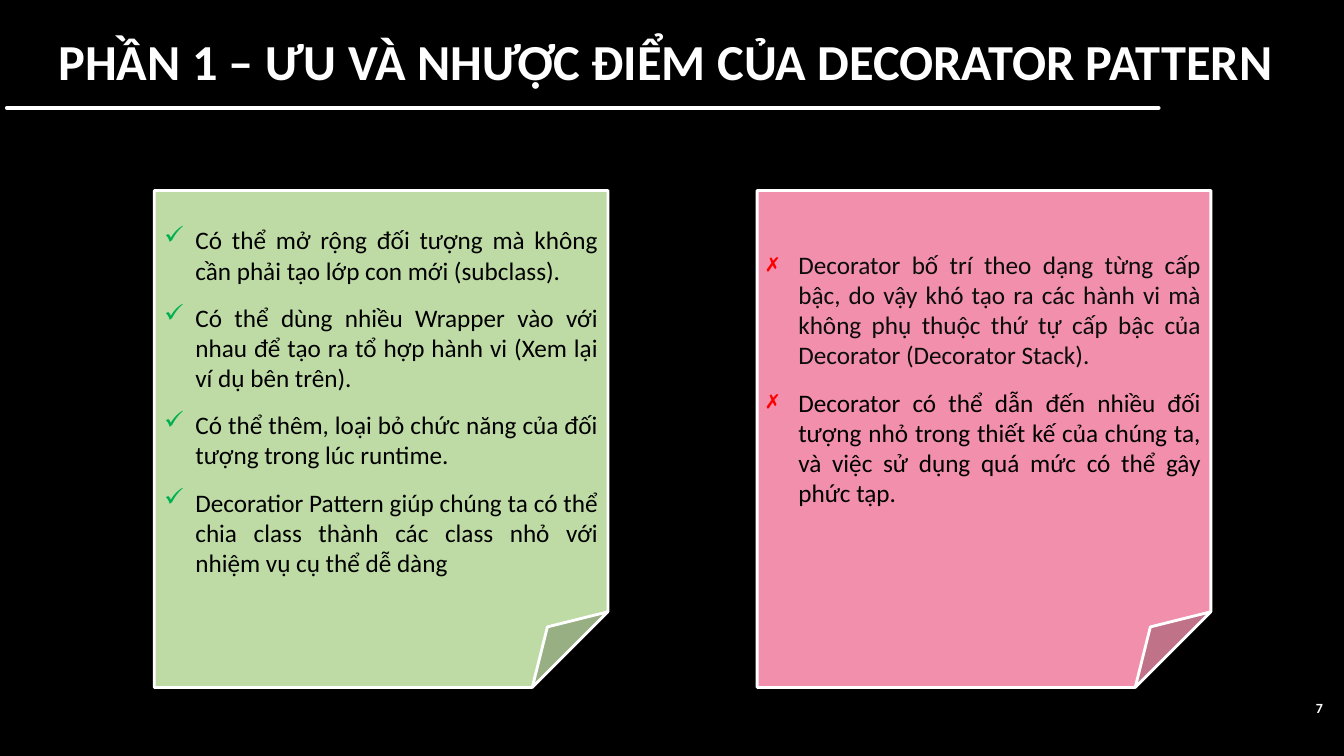
from dataclasses import dataclass

from lxml.etree import SubElement
from pptx import Presentation
from pptx.dml.color import RGBColor
from pptx.enum.shapes import MSO_CONNECTOR, MSO_SHAPE
from pptx.enum.text import MSO_ANCHOR, MSO_AUTO_SIZE, PP_ALIGN
from pptx.oxml.ns import qn
from pptx.slide import Slide
from pptx.text.text import TextFrame, _Paragraph
from pptx.util import Inches, Pt

BLACK = RGBColor(0x00, 0x00, 0x00)
INK = RGBColor(0x0C, 0x0C, 0x0C)
WHITE = RGBColor(0xFF, 0xFF, 0xFF)
LIME = RGBColor(0xBF, 0xDB, 0xA5)
PINK = RGBColor(0xF1, 0x8F, 0xAC)
GREEN = RGBColor(0x00, 0xB0, 0x50)
RED = RGBColor(0xFF, 0x00, 0x00)
FONT = "Calibri"


@dataclass
class Item:
    text: str
    color: RGBColor = BLACK


@dataclass
class Note:
    left: float
    fill: RGBColor
    mark: str
    tint: RGBColor
    items: list[Item]
    base: float = 0.05  # bottom inset in inches


NOTES = [
    Note(1.53, LIME, "✓", GREEN, [
        Item("Có thể mở rộng đối tượng mà không cần phải tạo lớp con mới (subclass)."),
        Item("Có thể dùng nhiều Wrapper vào với nhau để tạo ra tổ hợp hành vi "
             "(Xem lại ví dụ bên trên)."),
        Item("Có thể thêm, loại bỏ chức năng của đối tượng trong lúc runtime."),
        Item("Decoratior Pattern giúp chúng ta có thể chia class thành các class nhỏ "
             "với nhiệm vụ cụ thể dễ dàng"),
    ]),
    Note(7.51, PINK, "✗", RED, [
        Item("Decorator bố trí theo dạng từng cấp bậc, do vậy khó tạo ra các hành vi mà "
             "không phụ thuộc thứ tự cấp bậc của Decorator (Decorator Stack).", INK),
        Item("Decorator có thể dẫn đến nhiều đối tượng nhỏ trong thiết kế của chúng ta, "
             "và việc sử dụng quá mức có thể gây phức tạp."),
    ], base=0.5),
]


def add_run(para: _Paragraph, text: str, size: int, color: RGBColor,
            bold: bool = False) -> None:
    run = para.add_run()
    run.text = text
    run.font.name = FONT
    run.font.size = Pt(size)
    run.font.bold = bold
    run.font.color.rgb = color


def set_frame(frame: TextFrame) -> None:
    frame.word_wrap = True
    frame.auto_size = MSO_AUTO_SIZE.NONE
    frame.vertical_anchor = MSO_ANCHOR.MIDDLE


def add_mark(para: _Paragraph, mark: str, tint: RGBColor) -> None:
    props = para._p.get_or_add_pPr()
    props.set("marL", str(Inches(0.31)))
    props.set("indent", str(Inches(-0.31)))
    color = SubElement(props, qn("a:buClr"))
    SubElement(color, qn("a:srgbClr"), val=str(tint))
    SubElement(props, qn("a:buChar"), char=mark)


def add_note(slide: Slide, note: Note) -> None:
    shape = slide.shapes.add_shape(MSO_SHAPE.FOLDED_CORNER, Inches(note.left),
                                   Inches(1.89), Inches(4.5), Inches(4.93))
    shape.shadow.inherit = False
    shape.fill.solid()
    shape.fill.fore_color.rgb = note.fill
    shape.line.color.rgb = WHITE
    shape.line.width = Pt(2)
    frame = shape.text_frame
    set_frame(frame)
    frame.margin_bottom = Inches(note.base)
    for num, item in enumerate(note.items):
        para = frame.add_paragraph() if num else frame.paragraphs[0]
        para.alignment = PP_ALIGN.JUSTIFY
        para.space_after = Pt(12)
        add_mark(para, note.mark, note.tint)
        add_run(para, item.text, 18, item.color)


def add_title(slide: Slide, text: str) -> None:
    title = slide.shapes.title
    title.left, title.top = Inches(0.48), Inches(-0.2)
    title.width, title.height = Inches(12.57), Inches(1.59)
    set_frame(title.text_frame)
    para = title.text_frame.paragraphs[0]
    para.alignment = PP_ALIGN.LEFT
    add_run(para, text, 36, WHITE, bold=True)


def add_rule(slide: Slide) -> None:
    rule = slide.shapes.add_connector(MSO_CONNECTOR.STRAIGHT, Inches(0.07),
                                      Inches(1.07), Inches(11.49), Inches(1.07))
    rule.line.color.rgb = WHITE
    rule.line.width = Pt(3)
    rule.line._get_or_add_ln().set("cap", "rnd")
    SubElement(rule._element.spPr, qn("a:effectLst"))


def add_page(slide: Slide, text: str) -> None:
    box = slide.shapes.add_textbox(Inches(12.62), Inches(6.82),
                                   Inches(0.6), Inches(0.41))
    set_frame(box.text_frame)
    para = box.text_frame.paragraphs[0]
    para.alignment = PP_ALIGN.RIGHT
    add_run(para, text, 10, WHITE, bold=True)


def main() -> None:
    deck = Presentation()
    deck.slide_width, deck.slide_height = Inches(13.33), Inches(7.5)
    slide = deck.slides.add_slide(deck.slide_layouts[5])
    slide.background.fill.solid()
    slide.background.fill.fore_color.rgb = BLACK

    # Heading and page number
    add_title(slide, "PHẦN 1 – ƯU VÀ NHƯỢC ĐIỂM CỦA DECORATOR PATTERN")
    add_rule(slide)
    add_page(slide, "7")

    # Pros and cons
    for note in NOTES:
        add_note(slide, note)
    deck.save("out.pptx")


if __name__ == "__main__":
    main()
